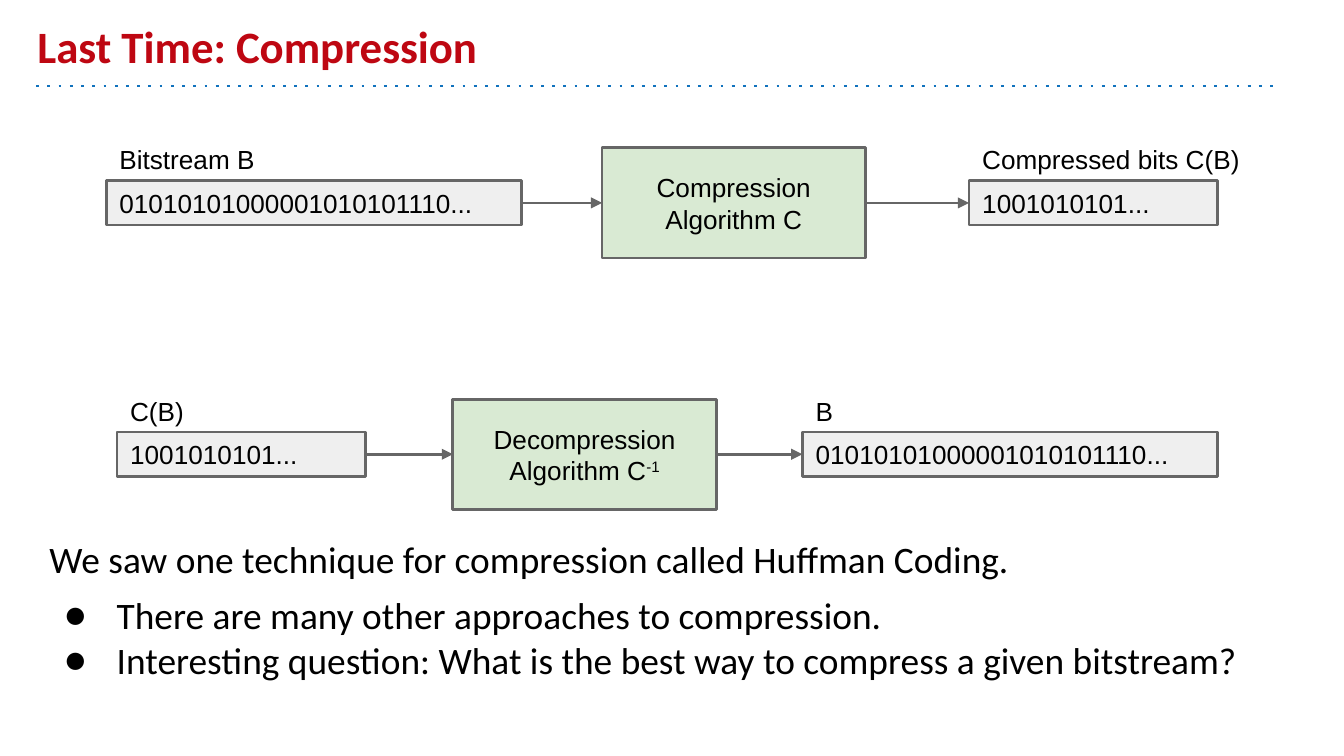
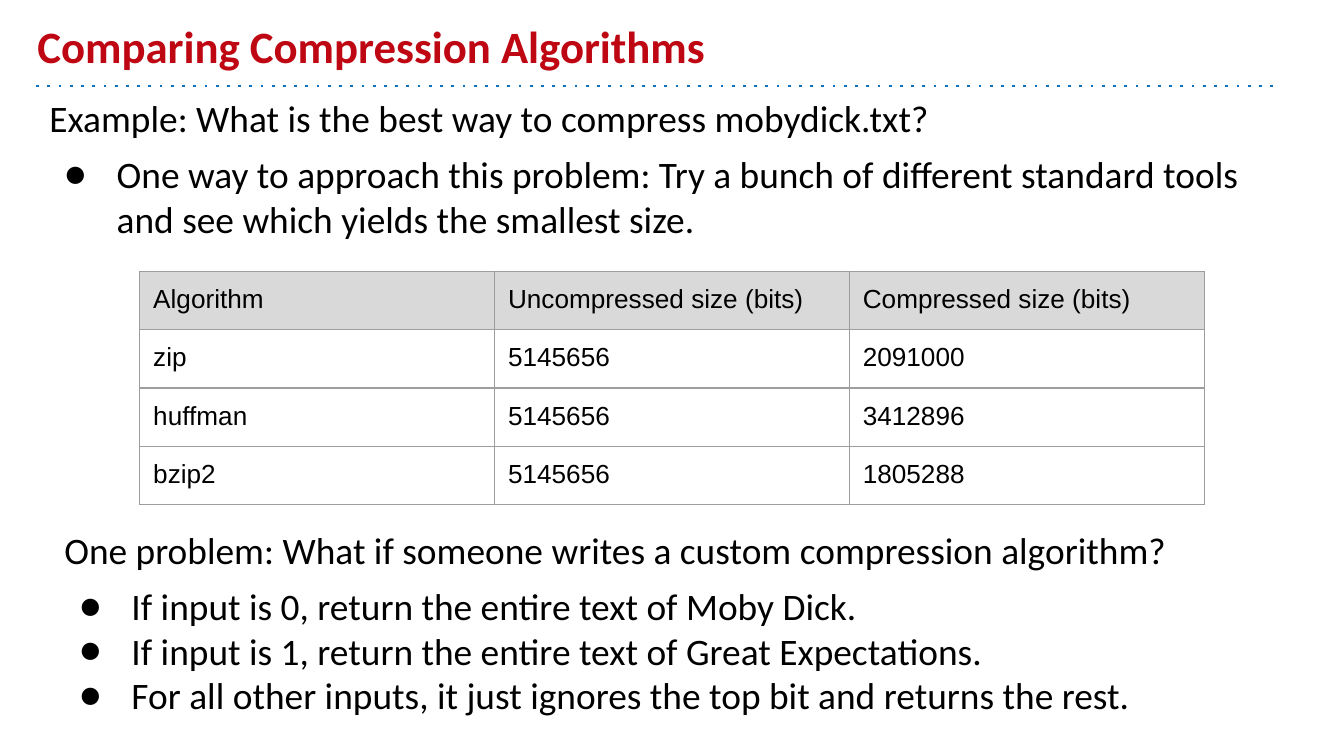
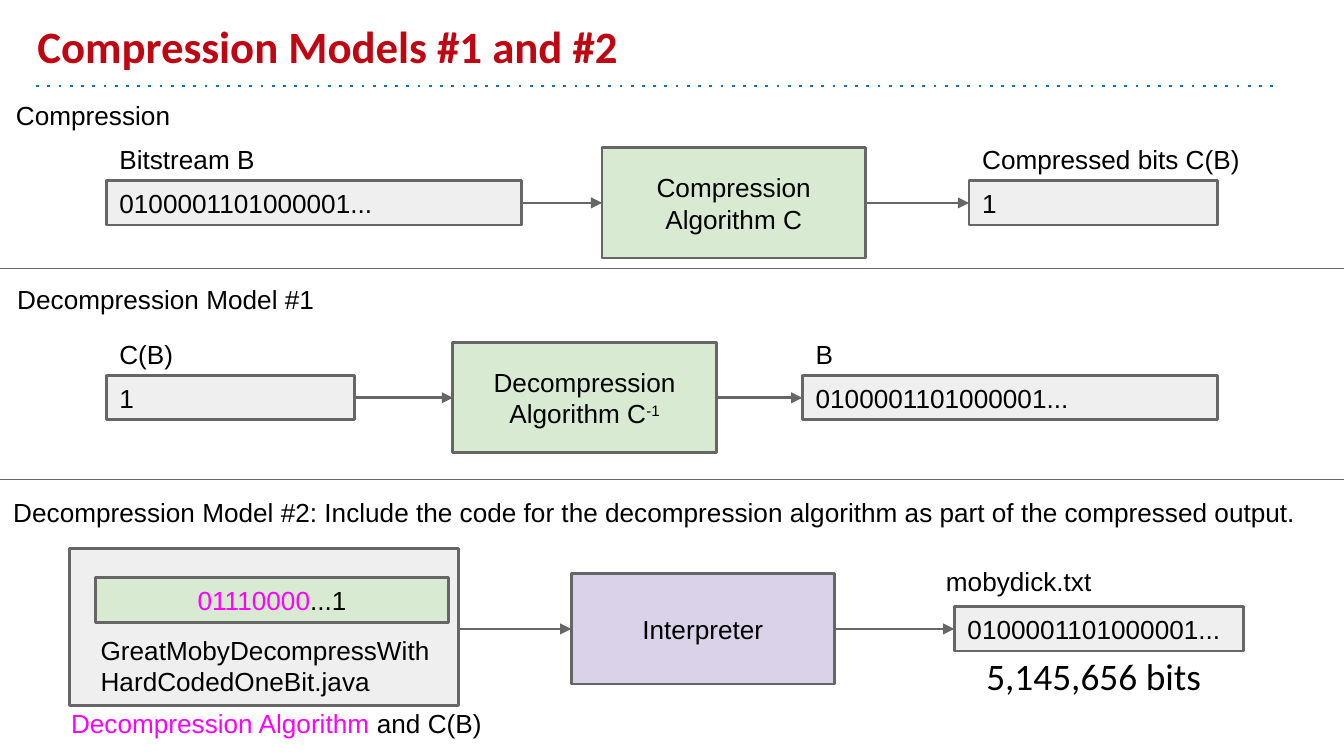
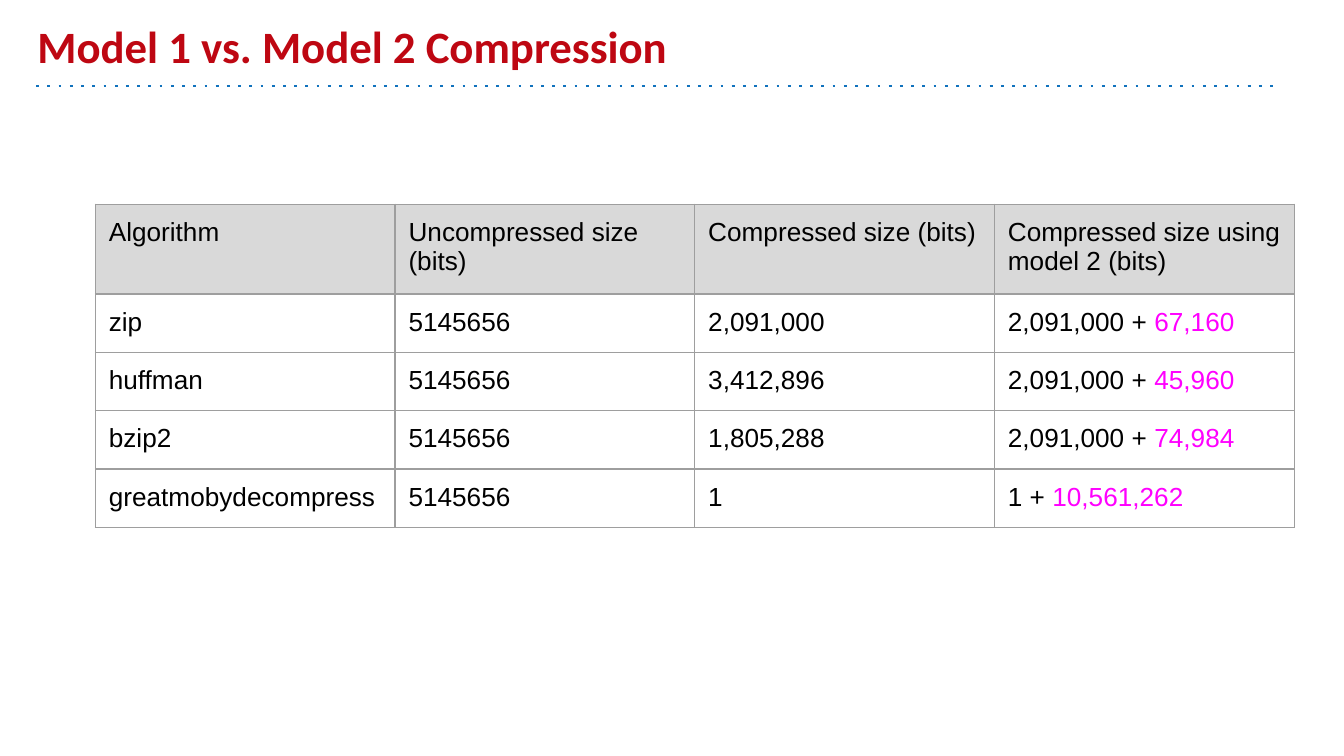
from dataclasses import dataclass
from lxml.etree import SubElement
from pptx import Presentation
from pptx.dml.color import RGBColor
from pptx.enum.shapes import MSO_CONNECTOR as Connector, MSO_SHAPE as Shape
from pptx.enum.text import MSO_ANCHOR as Anchor, PP_ALIGN as Align
from pptx.oxml import parse_xml
from pptx.oxml.ns import nsdecls, qn
from pptx.util import Inches, Pt


@dataclass(frozen=True)
class Theme:
    title: str = "BE0712"
    rule: str = "1072BD"
    ink: str = "000000"
    outline: str = "666666"
    grid: str = "9E9E9E"
    header: str = "D9D9D9"
    bits: str = "EFEFEF"
    algorithm: str = "D9EAD3"
    interpreter: str = "D9D2E9"
    paper: str = "FFFFFF"
    extra: str = "FF00FF"
    heading_font: str = "Calibri"
    label_font: str = "Arial"
    title_size: int = 24
    body_size: int = 20
    label_size: int = 14
    inset: float = 0.1
    thick: float = 1.5
    thin: float = 0.75


@dataclass(frozen=True)
class Span:
    text: str
    color: str = Theme.ink
    raised: bool = False


THEME = Theme()
TITLE = {"name": THEME.heading_font, "size": Pt(THEME.title_size), "bold": True}
BODY = {"name": THEME.heading_font, "size": Pt(THEME.body_size), "bold": False}
LABEL = {"name": THEME.label_font, "size": Pt(THEME.label_size), "bold": False}

CELL_HEIGHT = 0.33
MACHINE_WIDTH, MACHINE_HEIGHT = 1.96, 0.82
LONG, SHORT = 3.09, 1.85
COMPRESSOR = ["Compression", "Algorithm C"]
DECOMPRESSOR = ["Decompression", ["Algorithm C", Span("-1", raised=True)]]


def apply(target, values):
    for name, value in values.items():
        setattr(target, name, value)


def rgb(color):
    return RGBColor.from_string(color)


def margins():
    return {f"margin_{side}": Inches(THEME.inset) for side in ("left", "top", "right", "bottom")}


def add_spans(para, spans, style):
    for item in [spans] if isinstance(spans, (str, Span)) else spans:
        part = Span(item) if isinstance(item, str) else item
        span = para.add_run()
        span.text = part.text
        apply(span.font, style)
        span.font.color.rgb = rgb(part.color)
        if part.raised:
            span.font._rPr.set("baseline", "30000")


def write(frame, lines, style, anchor=Anchor.TOP, align=Align.LEFT):
    apply(frame, {**margins(), "word_wrap": True, "vertical_anchor": anchor})
    for index, line in enumerate(lines):
        para = frame.add_paragraph() if index else frame.paragraphs[0]
        para.alignment = align
        add_spans(para, line, style)


def add_text(shapes, area, lines, style=LABEL, anchor=Anchor.TOP):
    box = shapes.add_textbox(*map(Inches, area))
    write(box.text_frame, lines, style, anchor)
    return box


def add_box(shapes, area, fill, lines=(), align=Align.LEFT, style=LABEL, outlined=True):
    box = shapes.add_shape(Shape.RECTANGLE, *map(Inches, area))
    box.shadow.inherit = False
    box.fill.solid()
    box.fill.fore_color.rgb = rgb(fill)
    if outlined:
        box.line.color.rgb = rgb(THEME.outline)
        box.line.width = Pt(THEME.thick)
    else:
        box.line.fill.background()
    write(box.text_frame, lines, style, Anchor.MIDDLE, align)


def add_line(shapes, left, right, top, color=THEME.outline, width=THEME.thin, dash=None, arrow=False):
    line = shapes.add_connector(Connector.STRAIGHT, *map(Inches, (left, top, right, top)))
    line.line.color.rgb = rgb(color)
    line.line.width = Pt(width)
    props = line._element.spPr
    stroke = props.find(qn("a:ln"))
    if dash:
        SubElement(stroke, qn("a:prstDash"), val=dash)
    if arrow:
        SubElement(stroke, qn("a:tailEnd"), type="triangle")
    SubElement(props, qn("a:effectLst"))


def add_arrow(shapes, left, right, top):
    add_line(shapes, left, right, top, width=THEME.thick, arrow=True)


def add_machine(shapes, left, top, lines, fill=THEME.algorithm):
    add_box(shapes, (left, top, MACHINE_WIDTH, MACHINE_HEIGHT), fill, lines, Align.CENTER)


def add_bits(shapes, left, top, width, bits):
    add_box(shapes, (left, top, width, CELL_HEIGHT), THEME.bits, [bits])


def add_flow(shapes, top, machine_left, machine, source, target):
    middle = top + MACHINE_HEIGHT / 2
    for left, width, label, bits in (source, target):
        add_bits(shapes, left, middle - CELL_HEIGHT / 2, width, bits)
        add_text(shapes, (left, top - 0.13, 2.7, CELL_HEIGHT), [label])
    add_machine(shapes, machine_left, top, machine)
    add_arrow(shapes, source[0] + source[1], machine_left, middle)
    add_arrow(shapes, machine_left + MACHINE_WIDTH, target[0], middle)


def add_compression(shapes, bits, compressed):
    add_flow(shapes, 1.1, 4.48, COMPRESSOR,
             (0.79, LONG, "Bitstream B", bits),
             (7.21, SHORT, "Compressed bits C(B)", compressed))


def add_decompression(shapes, top, left, bits, compressed):
    add_flow(shapes, top, 3.37, DECOMPRESSOR,
             (left, SHORT, "C(B)", compressed), (5.97, LONG, "B", bits))


def add_model_two(shapes, left, top):
    middle = top + 0.6
    machine_left, output_left = left + 3.73, left + 6.58
    group = shapes.add_group_shape().shapes
    add_box(group, (left, top, 2.89, 1.17), THEME.bits)
    add_box(group, (left + 0.19, top + 0.22, 2.63, CELL_HEIGHT), THEME.algorithm,
            [[Span("01110000", THEME.extra), "...1"]], Align.CENTER)
    add_text(group, (left + 0.13, top + 0.54, 2.72, CELL_HEIGHT),
             ["GreatMobyDecompressWithHardCodedOneBit.java"])
    add_text(shapes, (left - 0.09, top + 1.01, 3.49, 0.58),
             [[Span("Decompression Algorithm", THEME.extra), " and C(B)"]], anchor=Anchor.MIDDLE)
    add_machine(shapes, machine_left, middle - MACHINE_HEIGHT / 2, ["Interpreter"], THEME.interpreter)
    add_box(shapes, (output_left + 0.14, top + 0.72, 1.87, 0.46), THEME.paper,
            ["5,145,656 bits"], style=BODY, outlined=False)
    add_bits(shapes, output_left, middle - CELL_HEIGHT / 2, 2.15, "0100001101000001...")
    add_text(shapes, (output_left - 0.16, top + 0.03, 2.7, CELL_HEIGHT), ["mobydick.txt"])
    add_arrow(shapes, left + 2.89, machine_left, middle)
    add_arrow(shapes, machine_left + MACHINE_WIDTH, output_left, middle)


def add_bullet(para):
    props = para._p.get_or_add_pPr()
    for name, value in {"marL": 0.5, "indent": -0.39}.items():
        props.set(name, str(Inches(value)))
    SubElement(SubElement(props, qn("a:buClr")), qn("a:srgbClr"), val=THEME.ink)
    SubElement(props, qn("a:buSzPts"), val=str(THEME.body_size * 100))
    SubElement(props, qn("a:buFont"), typeface=THEME.heading_font)
    SubElement(props, qn("a:buChar"), char="●")


def add_body(shapes, area, lead, bullets):
    box = add_text(shapes, area, [lead], BODY)
    for index, bullet in enumerate(bullets):
        para = box.text_frame.add_paragraph()
        add_bullet(para)
        para.space_before = Pt(0 if index else 6)
        add_spans(para, bullet, BODY)


def add_cell_borders(cell):
    props = cell._tc.get_or_add_tcPr()
    for index, side in enumerate("LRTB"):
        props.insert(index, parse_xml(
            f'<a:ln{side} {nsdecls("a")} w="{Pt(THEME.thin)}"><a:solidFill>'
            f'<a:srgbClr val="{THEME.grid}"/></a:solidFill></a:ln{side}>'))


def add_grid(shapes, left, top, column_width, heights, rows):
    columns = len(rows[0])
    area = (left, top, column_width * columns, sum(heights))
    table = shapes.add_table(len(rows), columns, *map(Inches, area)).table
    apply(table, {"first_row": False, "horz_banding": False})
    for column in table.columns:
        column.width = Inches(column_width)
    for index, (row, values) in enumerate(zip(table.rows, rows)):
        row.height = Inches(heights[index])
        for cell, value in zip(row.cells, values):
            apply(cell, margins())
            para = cell.text_frame.paragraphs[0]
            para.line_spacing = 1.0
            add_spans(para, value, LABEL)
            if index:
                cell.fill.background()
            else:
                cell.fill.solid()
                cell.fill.fore_color.rgb = rgb(THEME.header)
            add_cell_borders(cell)


def add_page(deck, title):
    shapes = deck.slides.add_slide(deck.slide_layouts[6]).shapes
    add_line(shapes, 0.27, 9.5, 0.64, THEME.rule, THEME.thick, "dot")
    add_text(shapes, (0.18, 0.1, 9, 0.54), [Span(title, THEME.title)], TITLE, Anchor.BOTTOM)
    return shapes


def last_time(deck):
    shapes = add_page(deck, "Last Time: Compression")
    bits, compressed = "01010101000001010101110...", "1001010101..."
    add_compression(shapes, bits, compressed)
    add_decompression(shapes, 2.97, 0.87, bits, compressed)
    add_body(shapes, (0.27, 3.89, 9.23, 1.42),
             "We saw one technique for compression called Huffman Coding.",
             ["There are many other approaches to compression.",
              "Interesting question: What is the best way to compress a given bitstream?"])


def comparing(deck):
    shapes = add_page(deck, "Comparing Compression Algorithms")
    add_body(shapes, (0.27, 0.61, 9.23, 1.02),
             "Example: What is the best way to compress mobydick.txt?",
             ["One way to approach this problem: Try a bunch of different standard tools "
              "and see which yields the smallest size."])
    add_grid(shapes, 1.04, 2.02, 2.64, [0.42] * 4, [
        ["Algorithm", "Uncompressed size (bits)", "Compressed size (bits)"],
        ["zip", "5145656", "2091000"],
        ["huffman", "5145656", "3412896"],
        ["bzip2", "5145656", "1805288"],
    ])
    add_body(shapes, (0.38, 3.82, 9.58, 1.02),
             "One problem: What if someone writes a custom compression algorithm?",
             ["If input is 0, return the entire text of Moby Dick.",
              "If input is 1, return the entire text of Great Expectations.",
              "For all other inputs, it just ignores the top bit and returns the rest."])


def models(deck):
    shapes = add_page(deck, "Compression Models #1 and #2")
    bits, compressed = "0100001101000001...", "1"
    add_compression(shapes, bits, compressed)
    add_decompression(shapes, 2.55, 0.79, bits, compressed)
    add_model_two(shapes, 0.52, 4.08)
    for top in (2, 3.57):
        add_line(shapes, 0, 10, top)
    for left, top, heading in (
        (0.02, 0.64, "Compression"),
        (0.03, 2.01, "Decompression Model #1"),
        (0, 3.59, "Decompression Model #2: Include the code for the decompression "
                  "algorithm as part of the compressed output."),
    ):
        add_text(shapes, (left, top, 9.79, 0.38), [heading])


def model_costs(deck):
    shapes = add_page(deck, "Model 1 vs. Model 2 Compression")
    header = ["Algorithm", "Uncompressed size (bits)", "Compressed size (bits)",
              "Compressed size using model 2 (bits)"]
    results = [
        ("zip", "2,091,000", "2,091,000", "67,160"),
        ("huffman", "3,412,896", "2,091,000", "45,960"),
        ("bzip2", "1,805,288", "2,091,000", "74,984"),
        ("greatmobydecompress", "1", "1", "10,561,262"),
    ]
    rows = [[name, "5145656", size, [f"{base} + ", Span(code, THEME.extra)]]
            for name, size, base, code in results]
    add_grid(shapes, 0.71, 1.52, 2.23, [0.42, 0.43, 0.43, 0.43, 0.42], [header, *rows])


def main():
    deck = Presentation()
    width = Inches(10)
    apply(deck, {"slide_width": width, "slide_height": width * 9 // 16})
    for build in (last_time, comparing, models, model_costs):
        build(deck)
    deck.save("out.pptx")


if __name__ == "__main__":
    main()
